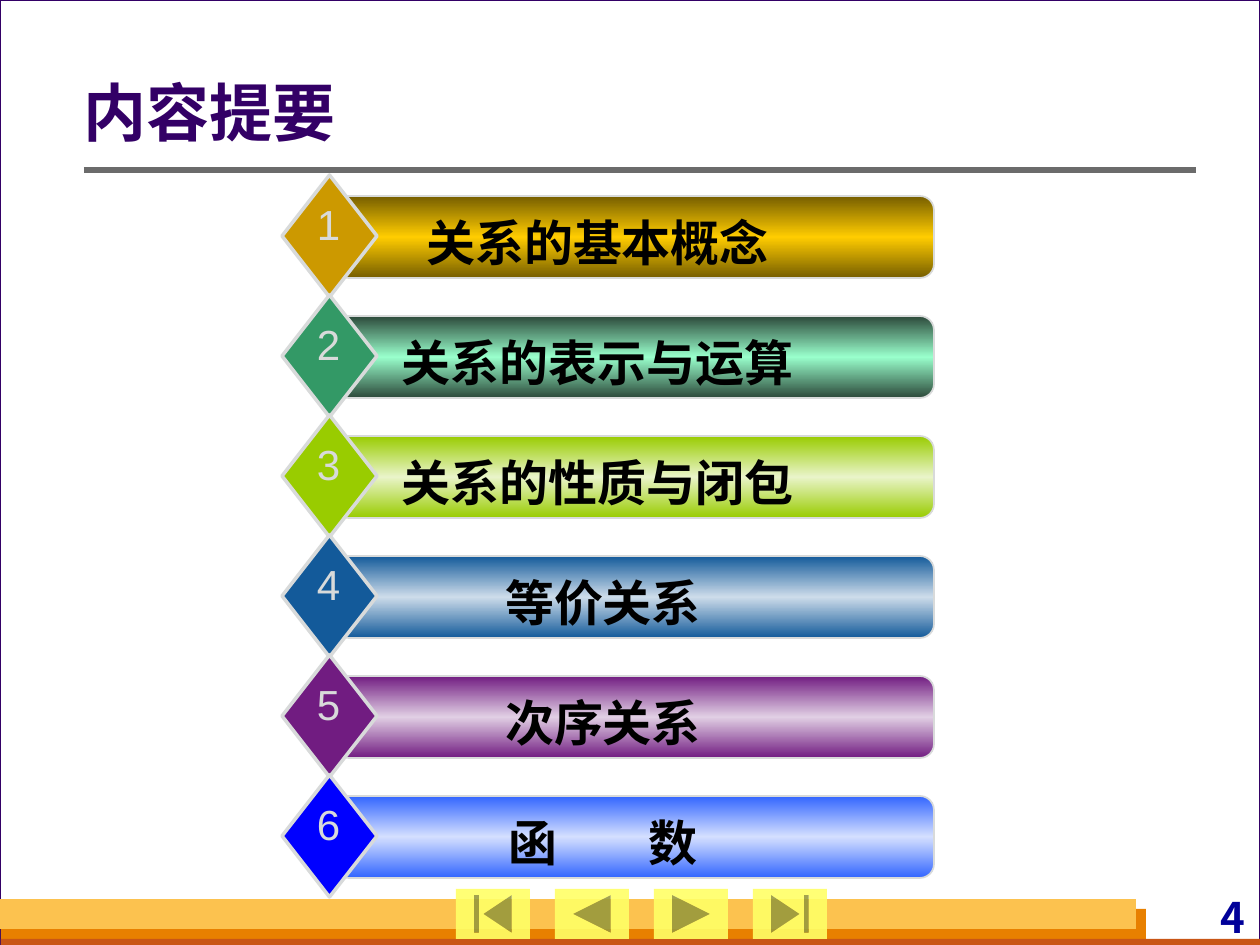
from copy import deepcopy

from lxml import etree
from pptx import Presentation
from pptx.dml.color import RGBColor
from pptx.enum.shapes import MSO_CONNECTOR, MSO_SHAPE
from pptx.enum.text import MSO_ANCHOR, PP_ALIGN
from pptx.oxml.ns import qn
from pptx.util import Emu, Pt

RECT, ROUND, DIAMOND = MSO_SHAPE.RECTANGLE, MSO_SHAPE.ROUNDED_RECTANGLE, MSO_SHAPE.DIAMOND
BUTTONS = (MSO_SHAPE.ACTION_BUTTON_BEGINNING, MSO_SHAPE.ACTION_BUTTON_BACK_OR_PREVIOUS,
           MSO_SHAPE.ACTION_BUTTON_FORWARD_OR_NEXT, MSO_SHAPE.ACTION_BUTTON_END)
STRAIGHT = MSO_CONNECTOR.STRAIGHT
LEFT, CENTER, RIGHT = PP_ALIGN.LEFT, PP_ALIGN.CENTER, PP_ALIGN.RIGHT
TOP, MIDDLE = MSO_ANCHOR.TOP, MSO_ANCHOR.MIDDLE

SCALE = 914400 / 126
LATIN, CJK = "Arial", "Noto Sans CJK SC"
SILVER, INDIGO = "D8DADA", "330066"

# label, diamond colour, bar edge colour, bar middle colour
TOPICS = [
    ("关系的基本概念 ", "CC9900", "765E00", "FFCC00"),
    ("关系的表示与运算 ", "339966", "2C493A", "99FFCC"),
    ("关系的性质与闭包 ", "99CC00", "99CC00", "E9F4C9"),
    ("等价关系", "135A9A", "135A9A", "CDDCEA"),
    ("次序关系", "711C81", "711C81", "E1CFE4"),
    ("函 数", "0000FF", "3366FF", "D4DFFF"),
]


def px(*sizes):
    return [Emu(round(size * SCALE)) for size in sizes]


def rgb(code):
    return RGBColor.from_string(code)


class Deck:
    def __init__(self, slide):
        self.slide = slide
        self.shapes = slide.shapes

    def group(self):
        """Send the next elements into a new group."""
        self.shapes = self.slide.shapes.add_group_shape().shapes

    def shape(self, kind, box, fill=None, line=None, width=1):
        item = self.shapes.add_shape(kind, *px(*box))
        item.shadow.inherit = False
        if fill:
            item.fill.solid()
            item.fill.fore_color.rgb = rgb(fill)
        if line:
            item.line.color.rgb = rgb(line)
            item.line.width = Pt(width)
        else:
            item.line.fill.background()
        return item

    def bar(self, box, edge, mid):
        item = self.shape(ROUND, box, line=SILVER)
        item.adjustments[0] = 0.17
        item.fill.gradient()
        item.fill.gradient_angle = 90
        stops = item.fill.gradient_stops
        for stop, color, place in zip(stops, (edge, mid), (0, 0.5)):
            stop.color.rgb = rgb(color)
            stop.position = place
        marks = item._element.spPr.find(".//" + qn("a:gsLst"))
        last = deepcopy(marks[0])
        last.set("pos", "100000")
        marks.append(last)

    def button(self, kind, box):
        item = self.shape(kind, box, "FFFF66")
        color = item._element.spPr.find(".//" + qn("a:srgbClr"))
        etree.SubElement(color, qn("a:alpha")).set("val", "90000")

    def rule(self, start, end, color, width):
        line = self.shapes.add_connector(STRAIGHT, *px(*start, *end))
        line.line.color.rgb = rgb(color)
        line.line.width = Pt(width)
        etree.SubElement(line._element.spPr, qn("a:effectLst"))

    def text(self, words, box, size, color, bold=True, font=LATIN, align=CENTER,
             anchor=TOP, pads=(13, 6, 13, 6), wrap=True):
        frame = self.shapes.add_textbox(*px(*box)).text_frame
        frame.word_wrap = wrap
        frame.vertical_anchor = anchor
        (frame.margin_left, frame.margin_top,
         frame.margin_right, frame.margin_bottom) = px(*pads)
        para = frame.paragraphs[0]
        para.alignment = align
        para.font.size = Pt(size)
        para.font.bold = bold
        para.font.color.rgb = rgb(color)
        para.font.name = font
        latin = para._p.pPr.find(".//" + qn("a:latin"))
        east = etree.Element(qn("a:ea"))
        east.set("typeface", CJK)
        latin.addnext(east)
        head, gap, tail = words.partition(" ")
        if tail:  # two characters set far apart
            run = para.add_run()
            run.text = head + gap
            run.font._element.set("spc", "2300")
            words = tail
        para.add_run().text = words
        return para

    def topic(self, number, top, label, color, edge, mid):
        self.group()
        self.bar((335, top + 21, 599, 82), edge, mid)
        self.shape(DIAMOND, (282, top, 95, 122), color, SILVER, 2)
        self.text(label, (367, top + 31, 472, 72), 28, "000000")
        self.text(str(number), (304, top + 18, 48, 63), 24, SILVER, bold=False, wrap=False)


def main():
    show = Presentation()
    show.slide_width, show.slide_height = px(1260, 945)
    slide = show.slides.add_slide(show.slide_layouts[6])
    slide.background.fill.solid()
    slide.background.fill.fore_color.rgb = rgb(SILVER)
    deck = Deck(slide)

    deck.shape(RECT, (0, 0, 1260, 945), "FFFFFF", INDIGO, 0.75)
    deck.shape(RECT, (1, 909, 1145, 36), "E88000")
    deck.shape(RECT, (1, 939, 1259, 6), "C95616")
    deck.shape(RECT, (0, 899, 1136, 30), "FCC24F")
    deck.text("4", (1067, 892, 183, 50), 24, "000099", font=CJK, align=RIGHT,
              pads=(5, 0, 5, 0))
    deck.rule((84, 170), (1196, 170), "6B6B6B", 3)
    for i, kind in enumerate(BUTTONS):
        deck.button(kind, (456 + 99 * i, 889, 74, 50))

    title = deck.text("内容提要", (84, 76, 1094, 81), 36, INDIGO, font=CJK, align=LEFT,
                      anchor=MIDDLE, pads=(0, 6, 13, 6))
    title.line_spacing = 0.9
    for i, topic in enumerate(TOPICS):
        deck.topic(i + 1, 175 + 120 * i, *topic)

    show.save("out.pptx")


if __name__ == "__main__":
    main()
